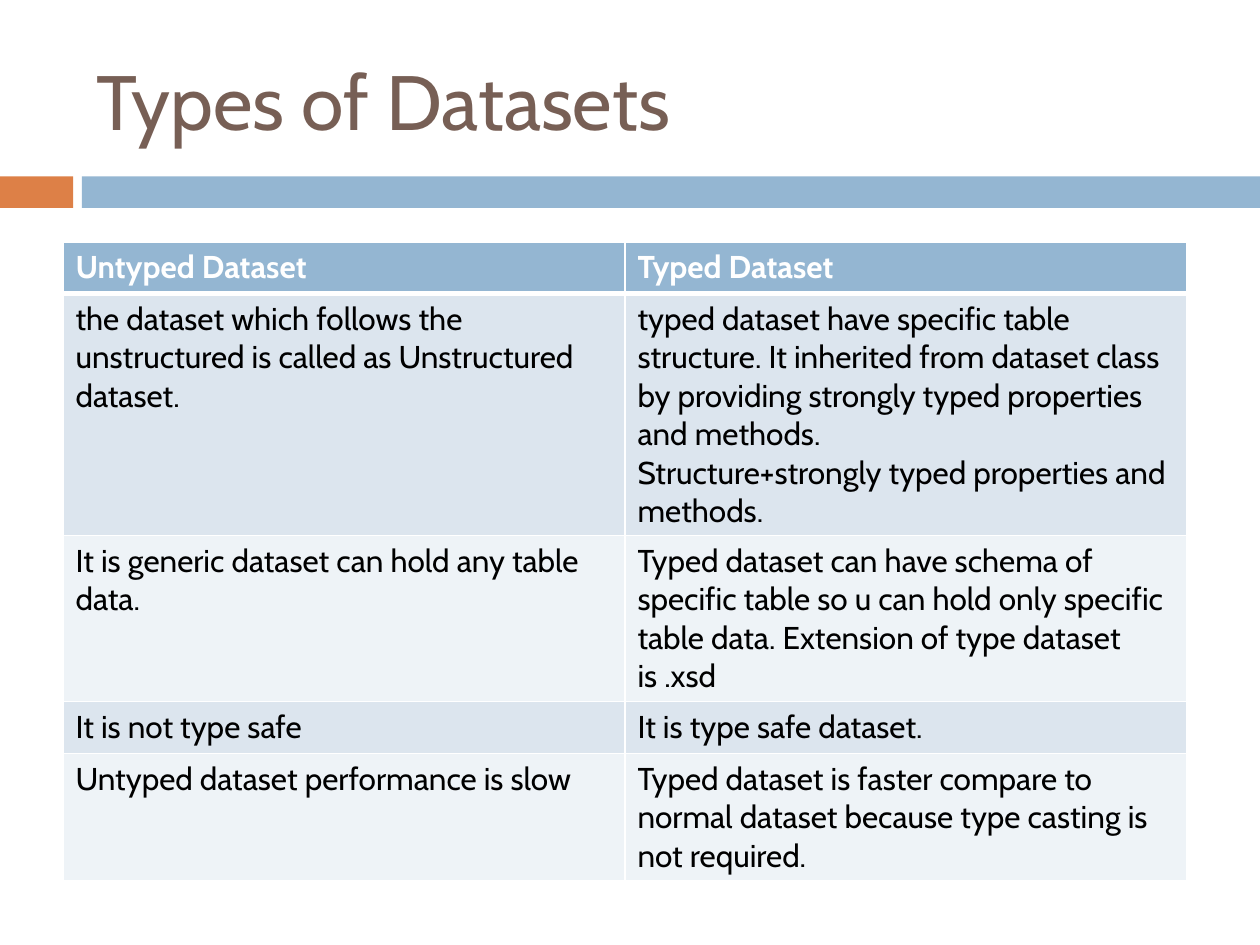
import pptx
import pptx.dml.color
import pptx.enum.shapes
import pptx.enum.text
import pptx.oxml
import pptx.oxml.ns
import pptx.util
from pptx.util import Inches

RGBColor = pptx.dml.color.RGBColor
ORANGE = RGBColor(0xDD, 0x80, 0x47)
BLUE = RGBColor(0x94, 0xB6, 0xD2)
BROWN = RGBColor(0x77, 0x5F, 0x55)
WHITE = RGBColor(0xFF, 0xFF, 0xFF)
BLACK = RGBColor(0, 0, 0)
BANDS = (RGBColor(0xDC, 0xE5, 0xEE), RGBColor(0xEE, 0xF3, 0xF7))
FONT = "Cabin"

ROWS = [
    ("Untyped Dataset", "Typed Dataset"),
    ("the dataset which follows the unstructured is called as Unstructured dataset.",
     "typed dataset have specific table structure. It inherited from dataset class "
     "by providing strongly typed properties and methods.\n"
     "Structure+strongly typed properties and methods."),
    ("It is generic dataset can hold any table data.",
     "Typed dataset can have schema of specific table so u can hold only specific "
     "table data. Extension of type dataset is\u00a0.xsd"),
    ("It is not type safe", "It is type safe dataset."),
    ("Untyped dataset performance is slow",
     "Typed dataset is faster compare to normal dataset because type casting is "
     "not required."),
]
ROW_HEIGHTS = (0.41, 1.92, 1.32, 0.41, 1.01)


def write(tf, text, size=18, color=BLACK, bold=False):
    """Fill a text frame, one paragraph for each line of text."""
    for i, line in enumerate(text.split("\n")):
        p = tf.add_paragraph() if i else tf.paragraphs[0]
        r = p.add_run()
        r.text = line
        r.font.name = FONT
        r.font.size = pptx.util.Pt(size)
        r.font.color.rgb = color
        r.font.bold = bold


def add_bar(s, left, width, color):
    """Draw one part of the band under the title."""
    sp = s.shapes.add_shape(pptx.enum.shapes.MSO_SHAPE.RECTANGLE,
                            Inches(left), Inches(1.4), Inches(width), Inches(0.25))
    sp.shadow.inherit = False
    sp.fill.solid()
    sp.fill.fore_color.rgb = color
    sp.line.fill.background()


def add_title(s, text):
    """Add the slide heading."""
    sp = s.shapes.add_textbox(Inches(0.67), Inches(0.25), Inches(8.92), Inches(1.08))
    tf = sp.text_frame
    tf.word_wrap = True
    tf.vertical_anchor = pptx.enum.text.MSO_ANCHOR.MIDDLE
    write(tf, text, size=44, color=BROWN)


def set_borders(cell, top=1, bottom=1):
    """Give a cell white borders, with widths in points."""
    tc_pr = cell._tc.get_or_add_tcPr()
    for side, width in (("L", 1), ("R", 1), ("T", top), ("B", bottom)):
        tc_pr.append(pptx.oxml.parse_xml(
            f'<a:ln{side} {pptx.oxml.ns.nsdecls("a")} w="{pptx.util.Pt(width)}">'
            f'<a:solidFill><a:srgbClr val="{WHITE}"/></a:solidFill></a:ln{side}>'))


def add_comparison(s):
    """Add the banded comparison table."""
    table = s.shapes.add_table(len(ROWS), 2, Inches(0.5), Inches(1.92),
                               Inches(8.92), Inches(sum(ROW_HEIGHTS))).table
    for col in table.columns:
        col.width = Inches(4.46)
    for i, (texts, height) in enumerate(zip(ROWS, ROW_HEIGHTS)):
        header = i == 0
        table.rows[i].height = Inches(height)
        for cell, text in zip(table.rows[i].cells, texts):
            set_borders(cell, top=3 if i == 1 else 1, bottom=3 if header else 1)
            cell.fill.solid()
            cell.fill.fore_color.rgb = BLUE if header else BANDS[(i - 1) % 2]
            write(cell.text_frame, text, color=WHITE if header else BLACK, bold=header)


def main():
    """Build and save the slide."""
    prs = pptx.Presentation()
    prs.slide_width, prs.slide_height = Inches(10), Inches(7.5)
    s = prs.slides.add_slide(prs.slide_layouts[6])
    add_bar(s, 0, 0.58, ORANGE)
    add_bar(s, 0.65, 9.35, BLUE)
    add_title(s, "Types of Datasets")
    add_comparison(s)
    prs.save("out.pptx")


main()
